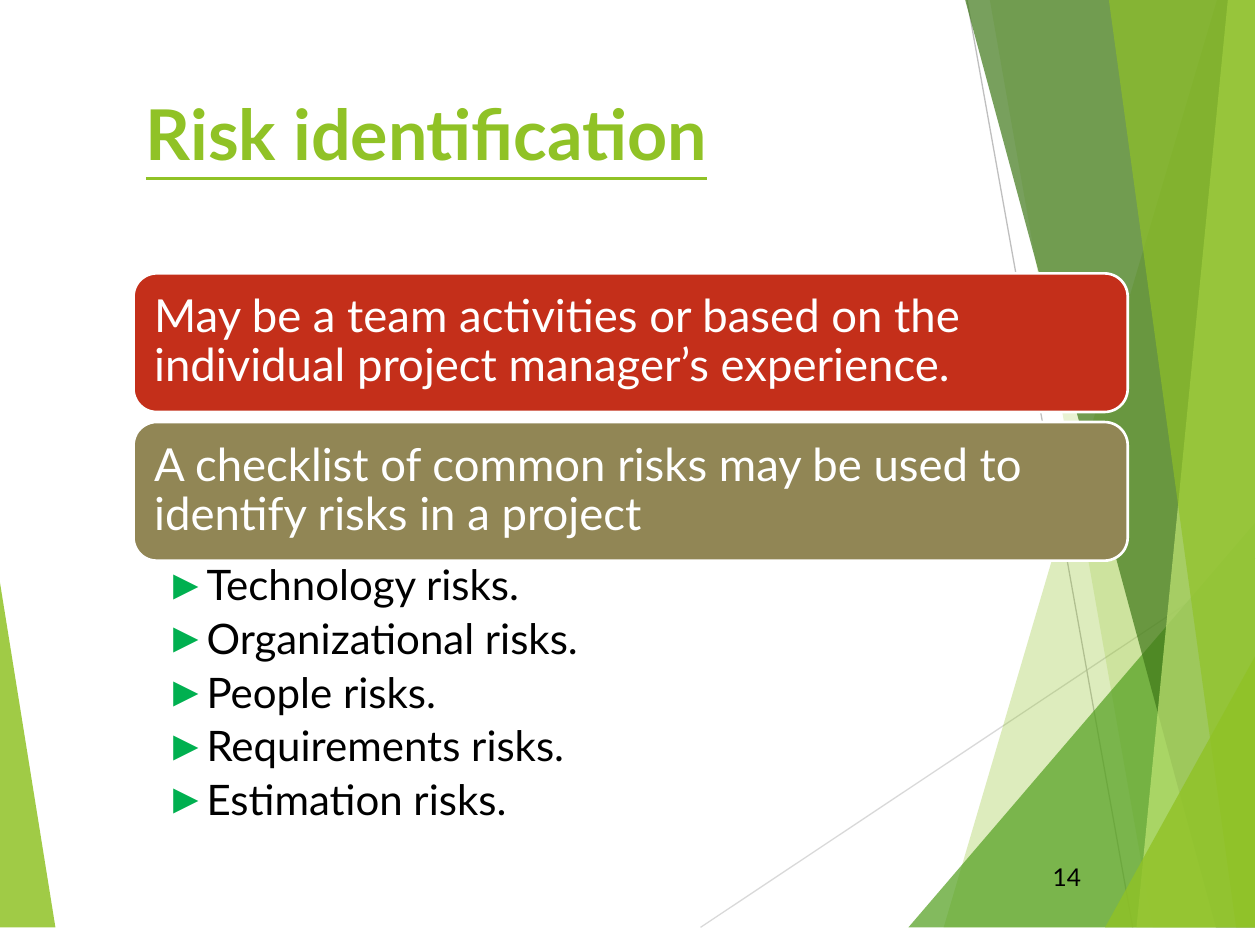
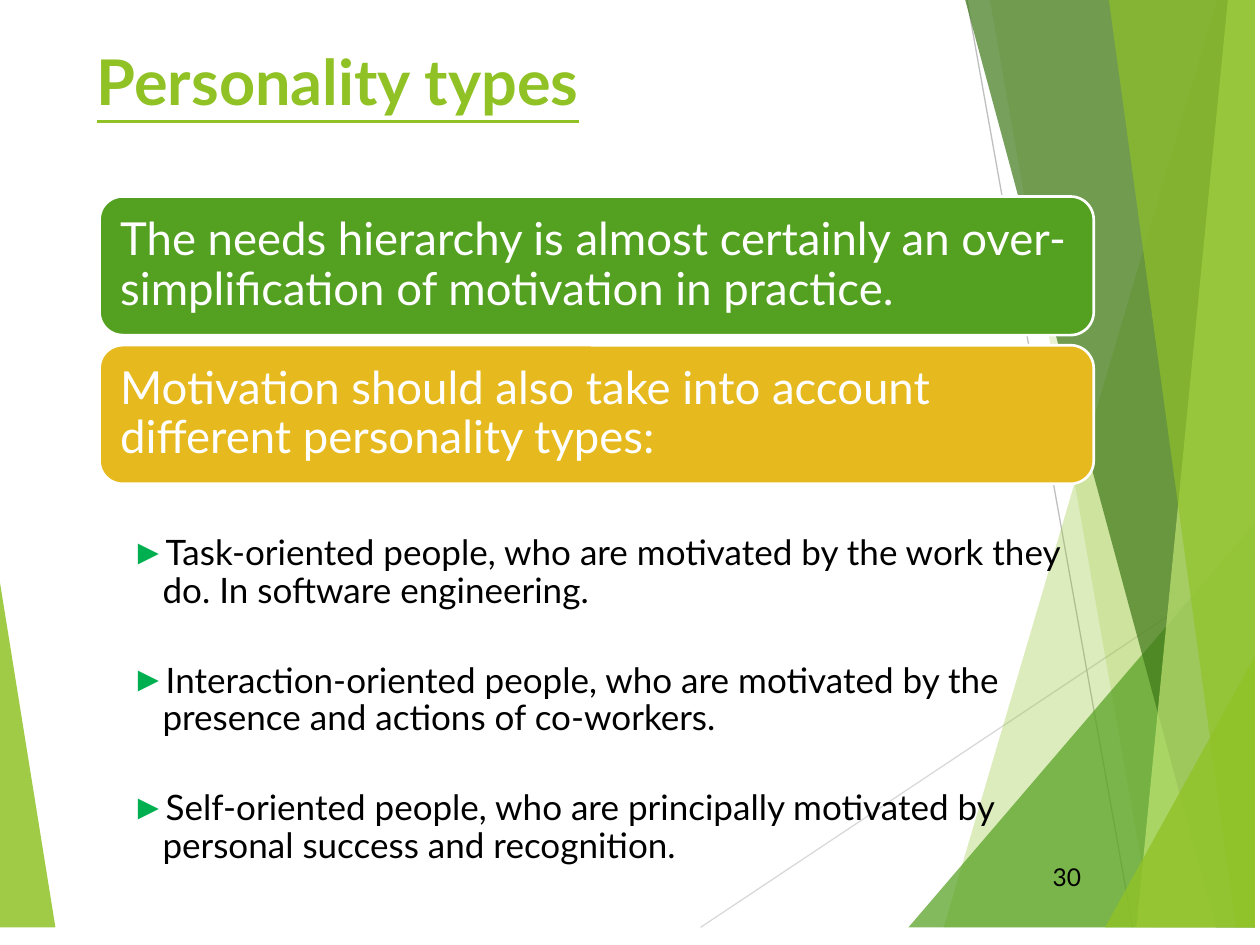
from dataclasses import dataclass

from lxml.etree import SubElement
from pptx import Presentation
from pptx.dml.color import RGBColor
from pptx.enum.shapes import MSO_CONNECTOR as Connector, MSO_SHAPE as Preset
from pptx.enum.text import MSO_ANCHOR as Anchor, PP_ALIGN as Align
from pptx.oxml.ns import qn
from pptx.util import Inches, Pt


@dataclass(frozen=True)
class Theme:
    """Colours, fonts and type sizes shared by the slides."""
    font: str = "Lato"
    bullet_font: str = "Arial"
    lime: str = "90C226"
    green: str = "54A021"
    forest: str = "3F7819"
    pale_lime: str = "C0E474"
    red: str = "C42F1A"
    olive: str = "918655"
    gold: str = "E6B91E"
    bullet: str = "00B050"
    white: str = "FFFFFF"
    black: str = "000000"
    light_grey: str = "D9D9D9"
    grey: str = "BFBFBF"
    card_size: float = 26
    number_size: float = 14


@dataclass(frozen=True)
class Box:
    """A rectangle in grid columns and rows."""
    left: float
    top: float
    width: float
    height: float

    def place(self):
        """Return the rectangle in slide lengths."""
        return [cells(n) for n in (self.left, self.top, self.width, self.height)]


THEME = Theme()
WIDTH, HEIGHT = Inches(10), Inches(7.5)
COLUMNS = 100
CELL = WIDTH // COLUMNS

FACET_BOTTOM = 73.6
LEFT_EDGE, RIGHT_EDGE = -0.6, 99.6
LEFT_FACET = (-0.6, 42.5, 4.4, THEME.lime, 85)
RIGHT_FACETS = [
    (97, -1.4, 74.9, THEME.lime, 30),
    (78.3, -1.5, 91.5, THEME.lime, 20),
    (RIGHT_EDGE, 41.5, 72.1, THEME.green, 72),
    (76.2, -1.5, 96.5, THEME.forest, 70),
    (97.6, -1.5, 90.2, THEME.pale_lime, 70),
    (87.8, -1.5, 98.1, THEME.lime, 65),
    (RIGHT_EDGE, 52.1, 87.7, THEME.lime, 80),
]
RAYS = [
    (55.6, FACET_BOTTOM, RIGHT_EDGE, 44.3, THEME.light_grey),
    (76.5, -1.4, 89.9, FACET_BOTTOM, THEME.grey),
]
CARD_HEIGHT, CARD_GAP = 11, 0.8


def cells(count):
    """Convert grid cells to a slide length."""
    return round(count * CELL)


def colour(value):
    """Turn a hex string into a colour."""
    return RGBColor.from_string(value)


def add_run(paragraph, text, size, ink, bold=False, underline=False):
    """Add one styled run to a paragraph."""
    run = paragraph.add_run()
    run.text = text
    font = run.font
    font.name, font.size, font.color.rgb = THEME.font, Pt(size), colour(ink)
    font.bold, font.underline = bold, underline


def set_frame(shape, inset_x, inset_y, anchor=Anchor.TOP):
    """Wrap a shape's text, set its insets and return the frame."""
    frame = shape.text_frame
    frame.word_wrap = True
    frame.vertical_anchor = anchor
    frame.margin_left = frame.margin_right = Inches(inset_x)
    frame.margin_top = frame.margin_bottom = Inches(inset_y)
    return frame


def add_facet(slide, edge, top_x, top_y, bottom_x, fill, opacity):
    """Draw a translucent facet between a slanted side and a slide edge."""
    points = [(top_x, top_y), (bottom_x, FACET_BOTTOM), (edge, FACET_BOTTOM), (edge, top_y)]
    start, *rest = [(cells(x), cells(y)) for x, y in points]
    builder = slide.shapes.build_freeform(*start, scale=1.0)
    builder.add_line_segments(rest, close=True)
    shape = builder.convert_to_shape()
    shape.shadow.inherit = False
    shape.line.fill.background()
    shape.fill.solid()
    shape.fill.fore_color.rgb = colour(fill)
    value = shape.fill._xPr.find(".//" + qn("a:srgbClr"))
    SubElement(value, qn("a:alpha"), val=str(opacity * 1000))


def add_ray(slide, x1, y1, x2, y2, ink):
    """Draw a thin grey line."""
    ray = slide.shapes.add_connector(Connector.STRAIGHT, *map(cells, (x1, y1, x2, y2)))
    ray.line.color.rgb = colour(ink)
    ray.line.width = Pt(0.75)
    SubElement(ray._element.spPr, qn("a:effectLst"))


def add_backdrop(slide):
    """Draw the facets and rays behind the content."""
    add_facet(slide, LEFT_EDGE, *LEFT_FACET)
    for ray in RAYS:
        add_ray(slide, *ray)
    for facet in RIGHT_FACETS:
        add_facet(slide, RIGHT_EDGE, *facet)


def add_title(slide, box, text, size):
    """Add the underlined title."""
    frame = set_frame(slide.shapes.add_textbox(*box.place()), 0.1, 0.05)
    add_run(frame.paragraphs[0], text, size, THEME.lime, bold=True, underline=True)


def add_number(slide, box, number):
    """Add the slide number."""
    frame = set_frame(slide.shapes.add_textbox(*box.place()), 0.1, 0.05, Anchor.MIDDLE)
    paragraph = frame.paragraphs[0]
    paragraph.alignment = Align.RIGHT
    paragraph.space_after = Pt(6)
    add_run(paragraph, str(number), THEME.number_size, THEME.black)


def add_card(slide, box, text, fill):
    """Add a rounded card holding a statement."""
    card = slide.shapes.add_shape(Preset.ROUNDED_RECTANGLE, *box.place())
    card.shadow.inherit = False
    card.fill.solid()
    card.fill.fore_color.rgb = colour(fill)
    card.line.color.rgb = colour(THEME.white)
    card.line.width = Pt(1.5)
    paragraph = set_frame(card, 0.11, 0.11, Anchor.MIDDLE).paragraphs[0]
    paragraph.alignment = Align.LEFT
    paragraph.line_spacing = 0.9
    paragraph.space_after = Pt(THEME.card_size * 0.35)
    add_run(paragraph, text, THEME.card_size, THEME.white)


def set_bullet(paragraph):
    """Give a paragraph a green arrow bullet and hanging indent."""
    properties = paragraph._p.get_or_add_pPr()
    properties.set("marL", str(Inches(0.25)))
    properties.set("indent", str(-Inches(0.25)))
    ink = SubElement(properties, qn("a:buClr"))
    SubElement(ink, qn("a:srgbClr"), val=THEME.bullet)
    SubElement(properties, qn("a:buFont"), typeface=THEME.bullet_font)
    SubElement(properties, qn("a:buChar"), char="►")


def add_list(slide, box, items, size, gap):
    """Add the bulleted list."""
    frame = set_frame(slide.shapes.add_textbox(*box.place()), 0.25, 0.03)
    frame.margin_right = Inches(0.19)
    for index, item in enumerate(items):
        paragraph = frame.add_paragraph() if index else frame.paragraphs[0]
        paragraph.line_spacing = 0.9
        paragraph.space_after = Pt(gap)
        set_bullet(paragraph)
        add_run(paragraph, item, size, THEME.black)


def add_panel(slide, box, cards, items, size, gap, lead=0):
    """Stack the cards in the box and put the list below them."""
    step = CARD_HEIGHT + CARD_GAP
    for index, (text, fill) in enumerate(cards):
        add_card(slide, Box(box.left, box.top + index * step, box.width, CARD_HEIGHT), text, fill)
    offset = len(cards) * step - CARD_GAP + lead
    list_box = Box(box.left, box.top + offset, box.width, box.height - offset)
    add_list(slide, list_box, items, size, gap)


def add_content_slide(presentation, title_box, title, title_size, number, panel_box, **panel):
    """Build one slide from its title, number and panel."""
    slide = presentation.slides.add_slide(presentation.slide_layouts[6])
    add_backdrop(slide)
    add_title(slide, title_box, title, title_size)
    add_number(slide, Box(81.2, 67.6, 5.6, 4), number)
    add_panel(slide, panel_box, **panel)


def main():
    """Build and save the presentation."""
    presentation = Presentation()
    presentation.slide_width, presentation.slide_height = WIDTH, HEIGHT
    add_content_slide(
        presentation, Box(10.6, 6.7, 83.6, 12), "Risk identification", 40, 14,
        Box(10.6, 21.7, 78.9, 44),
        cards=[
            ("May be a team activities or based on the individual project manager’s experience.",
             THEME.red),
            ("A checklist of common risks may be used to identify risks in a project", THEME.olive),
        ],
        items=[f"{kind} risks." for kind in
               ("Technology", "Organizational", "People", "Requirements", "Estimation")],
        size=24, gap=4.8)
    add_content_slide(
        presentation, Box(6.7, 2.9, 83.6, 12), "Personality types", 36, 30,
        Box(7.9, 15.6, 78.9, 53.3),
        cards=[
            ("The needs hierarchy is almost certainly an over-simplification of motivation "
             "in practice.", THEME.green),
            ("Motivation should also take into account different personality types:", THEME.gold),
        ],
        items=[
            "Task-oriented people, who are motivated by the work they do. "
            "In software engineering.",
            "Interaction-oriented people, who are motivated by the presence and actions "
            "of co-workers.",
            "Self-oriented people, who are principally motivated by personal success "
            "and recognition.",
        ],
        size=20, gap=29.6, lead=3.8)
    presentation.save("out.pptx")


if __name__ == "__main__":
    main()
